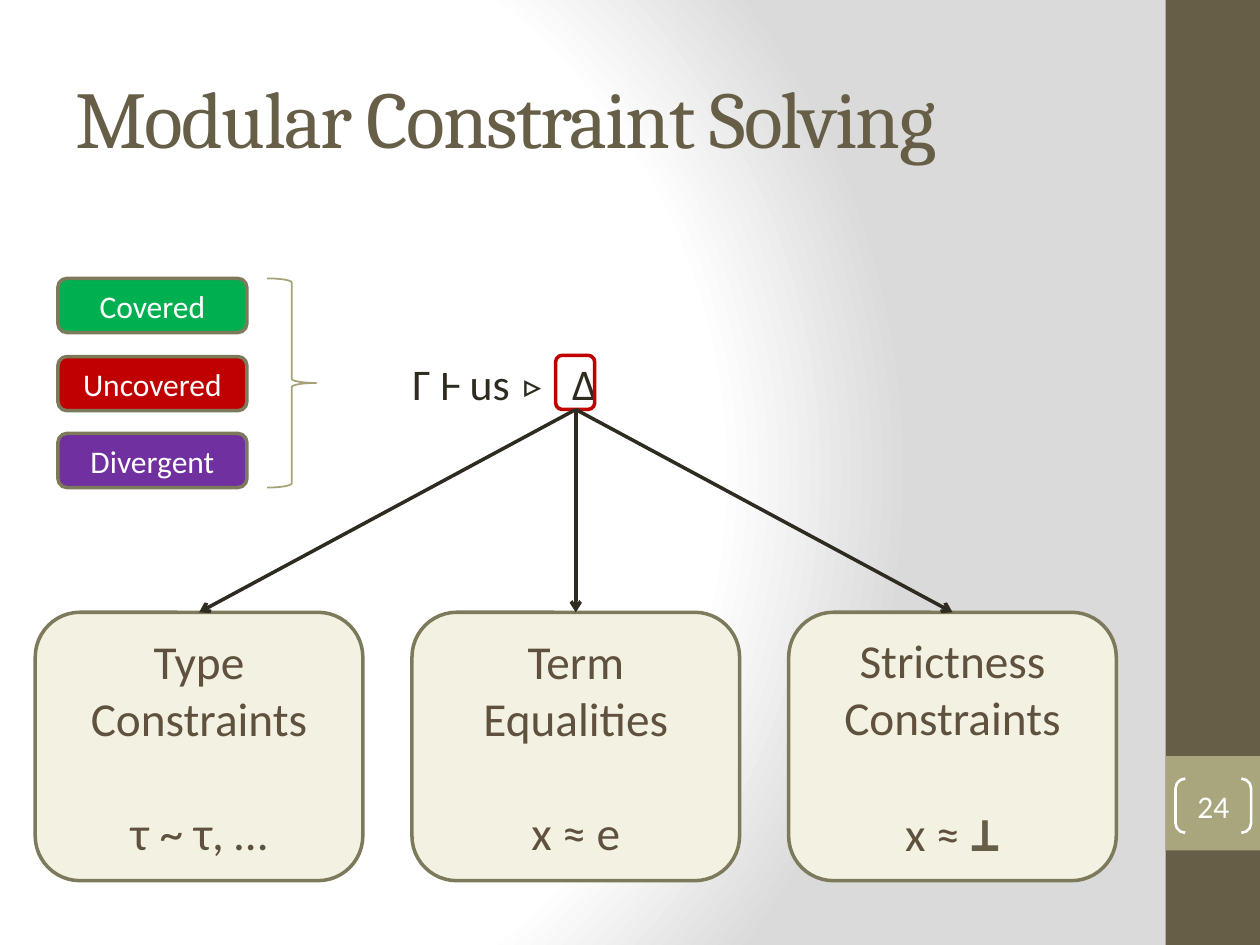
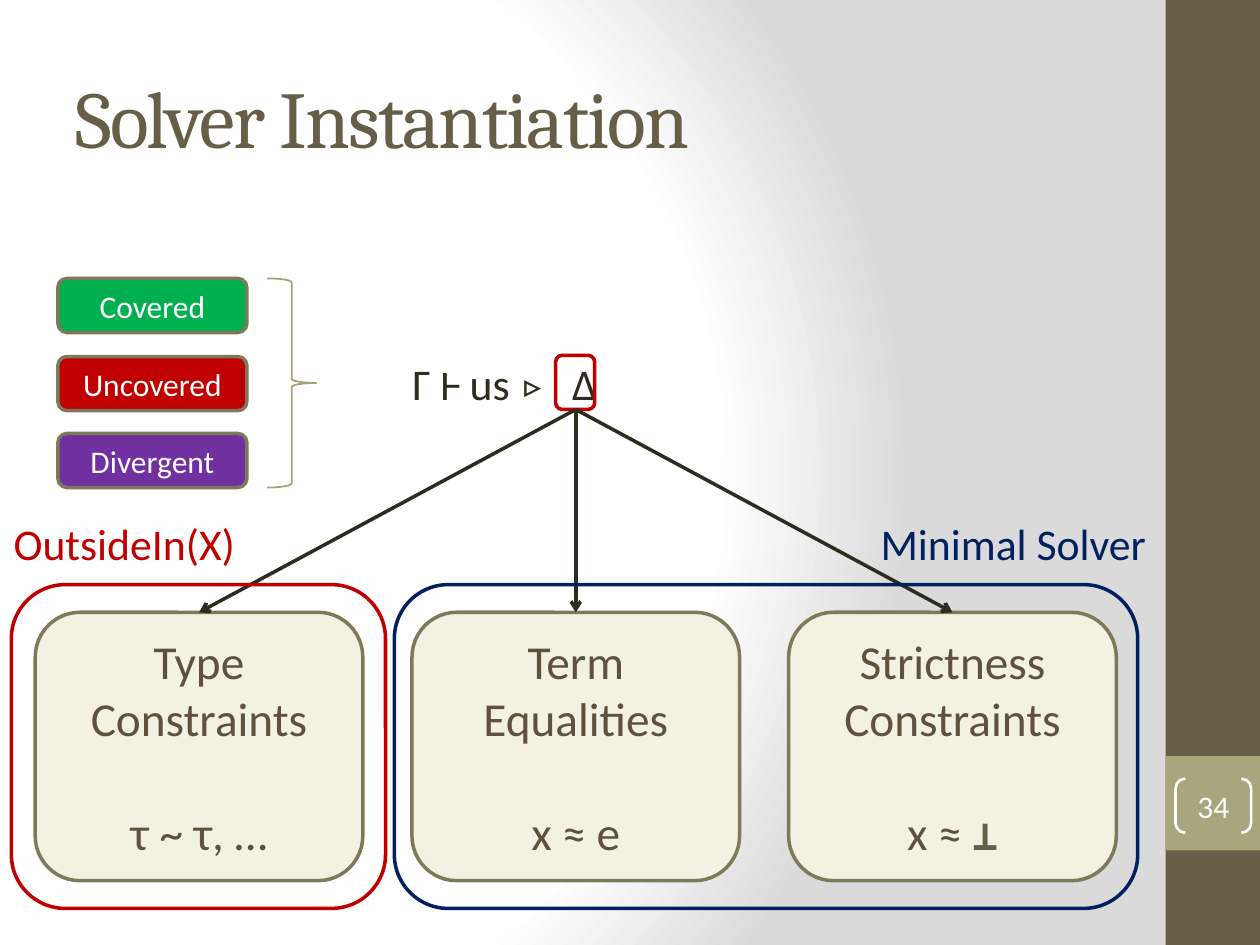
from lxml import etree
from pptx import Presentation
from pptx.dml.color import RGBColor as Rgb
from pptx.enum.shapes import MSO_CONNECTOR as Link, MSO_SHAPE as Kind
from pptx.enum.text import MSO_ANCHOR as Anchor, PP_ALIGN as Align
from pptx.oxml import parse_xml
from pptx.oxml.ns import nsdecls, qn
from pptx.util import Inches, Pt

HUE = {
    "white": "FFFFFF", "gray": "DADADA", "brown": "675E47", "olive": "A9A57C",
    "edge": "7D7A5C", "brace": "A6A278", "cream": "F2F1E2", "text": "5F513E",
    "ink": "2F2B20", "green": "00B050", "red": "C00000", "violet": "7030A0",
    "navy": "002060",
}
BODY, HEAD, MONO = "Calibri", "Cambria", "DejaVu Sans Mono"


def draw(page, kind, at, fill=None, line=None, width=2):
    item = page.shapes.add_shape(kind, *map(Inches, at))
    item.shadow.inherit = False
    if fill:
        item.fill.solid()
        item.fill.fore_color.rgb = Rgb.from_string(HUE[fill])
    else:
        item.fill.background()
    if line:
        item.line.color.rgb = Rgb.from_string(HUE[line])
        item.line.width = Pt(width)
    else:
        item.line.fill.background()
    return item


def write(par, runs, align=Align.CENTER):
    """Each run is text, size, colour, then font and bold if not the defaults."""
    par.alignment = align
    for text, size, hue, *more in runs:
        run = par.add_run()
        run.text = text
        run.font.size = Pt(size)
        run.font.color.rgb = Rgb.from_string(HUE[hue])
        run.font.name = more[0] if more else BODY
        run.font.bold = len(more) > 1
        face = etree.SubElement(run.font._element, qn("a:ea"))
        face.set("typeface", run.font.name)


deck = Presentation()
deck.slide_width, deck.slide_height = Inches(10), Inches(7.5)

# Shared background: white glow fading to gray on the right
deck.slide_master.background.fill.gradient()
grad = deck.slide_master.element.find(".//" + qn("a:gradFill"))
stops = "".join(
    f'<a:gs pos="{pos}000"><a:srgbClr val="{HUE[hue]}"/></a:gs>'
    for pos, hue in ((0, "white"), (75, "white"), (100, "gray")))
grad.getparent().replace(grad, parse_xml(
    f'<a:gradFill {nsdecls("a")} rotWithShape="1"><a:gsLst>{stops}</a:gsLst>'
    '<a:path path="circle"><a:fillToRect l="20000" t="50000" r="100000" b="50000"/>'
    '</a:path></a:gradFill>'))

# Layout of the diagram
PILLS = (("Covered", "green", 2.21), ("Uncovered", "red", 2.83),
         ("Divergent", "violet", 3.44))
BOXES = (("Type Constraints", "τ ~ τ, …"), ("Term Equalities", "x ≈ e"),
         ("Strictness Constraints", "x ≈ "))
LEFT, STEP, TOP, WIDE, HIGH = 0.28, 2.99, 4.86, 2.6, 2.13
APEX = (4.57, 3.25)

# Title, page number, size of the ⊥ sign, solver frames, solver labels
PAGES = (
    ("Modular Constraint Solving", "24", 28, (), ()),
    ("Solver Instantiation", "34", 24,
     ((0.09, 2.97, "red"), (3.13, 5.9, "navy")),
     (("OutsideIn(X)", 0.01, 1.98, "red"), ("Minimal Solver", 6.89, 2.33, "navy"))),
)

for title, num, size, frames, labels in PAGES:
    page = deck.slides.add_slide(deck.slide_layouts[6])

    # Side band, title and page number
    draw(page, Kind.RECTANGLE, (9.25, 0, 0.75, 7.5), "brown")
    draw(page, Kind.RECTANGLE, (9.25, 6, 0.75, 0.75), "olive")
    frame = page.shapes.add_textbox(*map(Inches, (0.5, 0.3, 8.33, 1.25))).text_frame
    frame.word_wrap = True
    frame.vertical_anchor = Anchor.MIDDLE
    write(frame.paragraphs[0], [(title, 46, "brown", HEAD)], Align.LEFT)
    frame.paragraphs[0].runs[0].font._element.set("spc", "-100")
    mark = draw(page, Kind.DOUBLE_BRACKET, (9.33, 6.18, 0.6, 0.43), None, "white", 1.5)
    mark.adjustments[0] = 0.18
    frame = mark.text_frame
    frame.margin_left = frame.margin_right = frame.margin_top = frame.margin_bottom = 0
    write(frame.paragraphs[0], [(num, 18, "white")])

    # Result pills and brace
    for name, hue, top in PILLS:
        pill = draw(page, Kind.ROUNDED_RECTANGLE, (0.46, top, 1.5, 0.43), hue, "edge")
        write(pill.text_frame.paragraphs[0], [(name, 18, "white")])
    draw(page, Kind.RIGHT_BRACE, (2.12, 2.21, 0.39, 1.66), None, "brace", 1)

    # Judgement with its framed delta
    frame = page.shapes.add_textbox(*map(Inches, (3.09, 2.78, 1.83, 0.52))).text_frame
    frame.word_wrap = True
    write(frame.paragraphs[0], [
        ("Γ ", 25, "ink"), ("Ⱶ", 24, "ink"), (" us ", 25, "ink"),
        ("▹ ", 25, "ink", MONO, True), ("Δ", 25, "ink")])
    draw(page, Kind.ROUNDED_RECTANGLE, (4.41, 2.82, 0.31, 0.43), None, "red")

    # Constraint boxes
    for i, (name, rule) in enumerate(BOXES):
        box = draw(page, Kind.ROUNDED_RECTANGLE,
                   (LEFT + i * STEP, TOP, WIDE, HIGH), "cream", "edge")
        frame = box.text_frame
        write(frame.paragraphs[0], [(name, 27, "text")])
        runs = [(rule, 27, "text")]
        if i == 2:
            runs.append(("⊥", size, "brown", MONO, True))
        par = frame.add_paragraph()
        par.space_before = Pt(33)
        write(par, runs)

    # Arrows from the delta to each box
    for i in range(len(BOXES)):
        tip = LEFT + i * STEP + WIDE / 2
        arrow = page.shapes.add_connector(
            Link.STRAIGHT, *map(Inches, (*APEX, tip, TOP)))
        arrow.line.color.rgb = Rgb.from_string(HUE["ink"])
        arrow.line.width = Pt(2)
        etree.SubElement(arrow.line._get_or_add_ln(), qn("a:tailEnd")).set("type", "arrow")
        etree.SubElement(arrow._element.spPr, qn("a:effectLst"))

    # Solver frames and labels
    for left, wide, hue in frames:
        draw(page, Kind.ROUNDED_RECTANGLE, (left, 4.64, wide, 2.57), None, hue)
    for name, left, wide, hue in labels:
        note = page.shapes.add_textbox(*map(Inches, (left, 4.05, wide, 0.52)))
        note.text_frame.word_wrap = False
        write(note.text_frame.paragraphs[0], [(name, 25, hue)], Align.LEFT)

deck.save("out.pptx")
